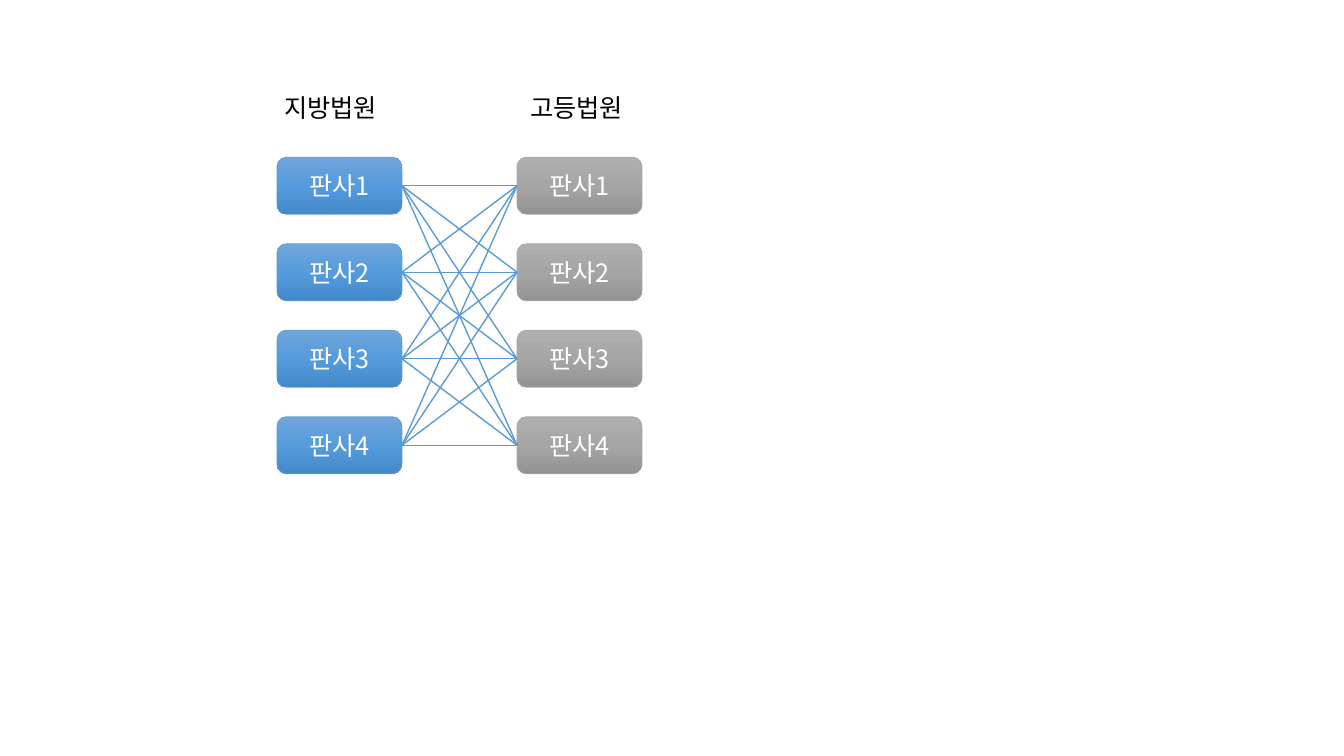
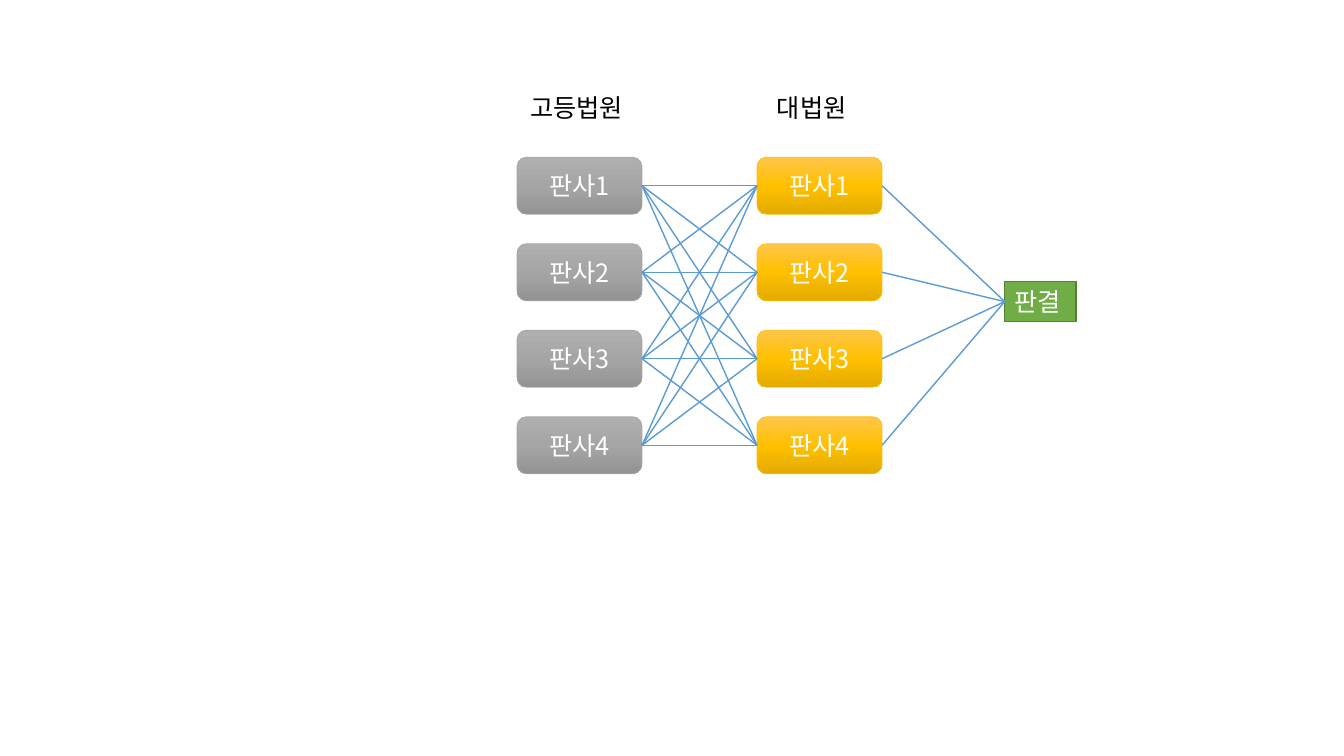
from copy import deepcopy
from itertools import product

from lxml.etree import SubElement
from pptx import Presentation
from pptx.dml.color import RGBColor
from pptx.enum.shapes import MSO_CONNECTOR, MSO_SHAPE
from pptx.enum.text import MSO_ANCHOR, MSO_AUTO_SIZE, PP_ALIGN
from pptx.oxml.ns import qn
from pptx.util import Cm, Pt

JUDGES = 4
BOX_TOP, BOX_W, BOX_H, BOX_PITCH = 3.96, 3.15, 1.44, 2.18
HEADING_TOP, HEADING_H = 2.21, 1.02
LEFT_SITE, RIGHT_SITE = 1, 3  # connection sites of a rectangle

# gradient runs from top to bottom
DISTRICT = dict(name="지방법원", left=6.98, heading=(6.91, 3.07),
                grad=("71A6DB", "559BDB", "448ACA"), line="5B9BD5")
HIGH = dict(name="고등법원", left=13.03, heading=(13.11, 3.07),
            grad=("AFAFAF", "A5A5A5", "939393"), line="A5A5A5")
SUPREME = dict(name="대법원", left=19.08, heading=(19.33, 2.44),
               grad=("FFC64B", "FFC000", "E3AB00"), line="FFC000")


def rgb(value):
    return RGBColor.from_string(value)


class Deck:
    font = "Noto Sans CJK KR"
    size = 18
    link_color = "5B9BD5"

    def __init__(self):
        self.prs = Presentation()
        self.prs.slide_width, self.prs.slide_height = Cm(33.87), Cm(19.05)
        self.s = None

    def slide(self):
        self.s = self.prs.slides.add_slide(self.prs.slide_layouts[6])

    def text(self, sp, text, color, align=PP_ALIGN.LEFT, **frame):
        tf = sp.text_frame
        for name, value in frame.items():
            setattr(tf, name, value)
        p = tf.paragraphs[0]
        p.alignment = align
        r = p.add_run()
        r.text = text
        for name, value in dict(name=self.font, size=Pt(self.size)).items():
            setattr(r.font, name, value)
        r.font.color.rgb = rgb(color)
        SubElement(r._r.get_or_add_rPr(), qn("a:ea"), typeface=self.font)

    def label(self, sp, text, color):
        """Add text that sets the size of its own box."""
        self.text(sp, text, color, word_wrap=False, vertical_anchor=MSO_ANCHOR.TOP,
                  auto_size=MSO_AUTO_SIZE.SHAPE_TO_FIT_TEXT)

    def heading(self, text, left, width):
        sp = self.s.shapes.add_textbox(Cm(left), Cm(HEADING_TOP), Cm(width), Cm(HEADING_H))
        self.label(sp, text, "000000")

    def shape(self, kind, left, top, width, height, line, weight):
        sp = self.s.shapes.add_shape(kind, Cm(left), Cm(top), Cm(width), Cm(height))
        sp.shadow.inherit = False
        sp.line.color.rgb = rgb(line)
        sp.line.width = Pt(weight)
        return sp

    def gradient(self, sp, colors):
        sp.fill.gradient()
        sp.fill.gradient_angle = 270
        stops = sp._element.spPr.find(".//" + qn("a:gsLst"))
        while len(stops) < len(colors):
            stops.append(deepcopy(stops[0]))
        for i, (stop, color) in enumerate(zip(sp.fill.gradient_stops, colors)):
            stop.position = i / (len(colors) - 1)
            stop.color.rgb = rgb(color)

    def court(self, name, left, heading, grad, line):
        """Draw a heading over a column of judges and return the judges."""
        self.heading(name, *heading)
        judges = []
        for i in range(JUDGES):
            sp = self.shape(MSO_SHAPE.ROUNDED_RECTANGLE, left, BOX_TOP + i * BOX_PITCH,
                            BOX_W, BOX_H, line, 0.5)
            self.gradient(sp, grad)
            self.text(sp, f"판사{i + 1}", "FFFFFF", PP_ALIGN.CENTER,
                      vertical_anchor=MSO_ANCHOR.MIDDLE)
            judges.append(sp)
        return judges

    def verdict(self, text, left, top, width, height):
        sp = self.shape(MSO_SHAPE.RECTANGLE, left, top, width, height, "538035", 1)
        sp.fill.solid()
        sp.fill.fore_color.rgb = rgb("70AD47")
        self.label(sp, text, "FFFFFF")
        return sp

    def link_all(self, sources, targets):
        """Join every source to every target."""
        for source, target in product(sources, targets):
            line = self.s.shapes.add_connector(MSO_CONNECTOR.STRAIGHT, 0, 0, 0, 0)
            line.begin_connect(source, RIGHT_SITE)
            line.end_connect(target, LEFT_SITE)
            line.line.color.rgb = rgb(self.link_color)
            line.line.width = Pt(1)
            SubElement(line._element.spPr, qn("a:effectLst"))


def main():
    deck = Deck()

    deck.slide()
    district, high = deck.court(**DISTRICT), deck.court(**HIGH)
    deck.link_all(district, high)

    deck.slide()
    high, supreme = deck.court(**HIGH), deck.court(**SUPREME)
    verdict = deck.verdict("판결", 25.32, 7.09, 1.8, 1.02)
    deck.link_all(high, supreme)
    deck.link_all(supreme, [verdict])

    deck.prs.save("out.pptx")


if __name__ == "__main__":
    main()
